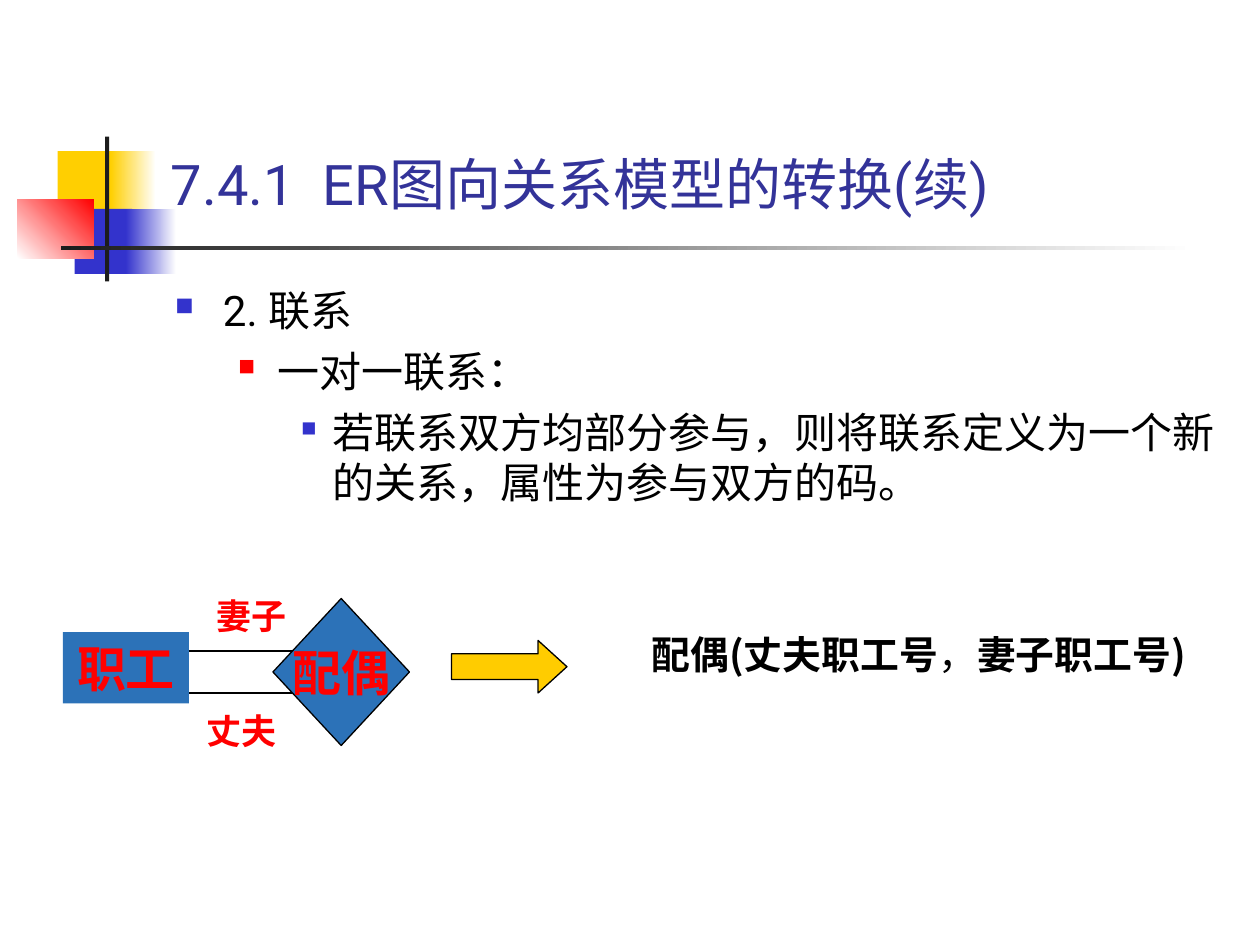
from lxml import etree
from pptx import Presentation
from pptx.dml.color import RGBColor
from pptx.enum.shapes import MSO_CONNECTOR, MSO_SHAPE
from pptx.enum.text import MSO_ANCHOR, PP_ALIGN
from pptx.oxml.ns import qn
from pptx.util import Inches, Pt

RECTANGLE, DIAMOND, ARROW = MSO_SHAPE.RECTANGLE, MSO_SHAPE.DIAMOND, MSO_SHAPE.RIGHT_ARROW
TOP, MIDDLE, BOTTOM = MSO_ANCHOR.TOP, MSO_ANCHOR.MIDDLE, MSO_ANCHOR.BOTTOM
LEFT, CENTER = PP_ALIGN.LEFT, PP_ALIGN.CENTER
COLORS = {name: RGBColor.from_string(value) for name, value in {
    "yellow": "FFCF01", "blue": "3333CC", "red": "FF0000", "white": "FFFFFF",
    "dark": "1C1C1C", "title": "333399", "black": "000000",
    "entity": "2C72B8", "arrow": "FFCC00"}.items()}

deck = Presentation()
deck.slide_width, deck.slide_height = Inches(10), Inches(7.5)
page = deck.slides.add_slide(deck.slide_layouts[6])
UNIT = deck.slide_width / 120  # grid of 120 columns by 90 rows


def grid(*cells):
    return [round(cell * UNIT) for cell in cells]


def write(box, text, size, font, color, bold=False, anchor=TOP, align=CENTER):
    """Put one styled paragraph in a box and return it."""
    frame = box.text_frame
    frame.word_wrap = True
    frame.vertical_anchor = anchor
    para = frame.paragraphs[0]
    para.text = text
    para.alignment = align
    para.font.size, para.font.name, para.font.bold = Pt(size), font, bold
    para.font.color.rgb = COLORS[color]
    return para


# Corner ornament: one colour is solid, two make a gradient at the given angle
for cells, colors, angle in [
    ((5.5, 14.4, 5.8, 6.2), ["yellow"], 0),
    ((10.55, 14.4, 4.3, 6.2), ["yellow", "white"], 0),
    ((7.1, 19.9, 5.5, 6.2), ["blue"], 0),
    ((12, 19.9, 4.8, 6.2), ["blue", "white"], 0),
    ((1.65, 19, 7.3, 5.6), ["white", "red"], 45),
    ((10, 13, 0.4, 13.8), ["dark"], 0),
    ((5.8, 23.4, 108, 0.4), ["dark", "white"], 0),
]:
    block = page.shapes.add_shape(RECTANGLE, *grid(*cells))
    block.shadow.inherit = False
    block.line.fill.background()
    if len(colors) == 1:
        block.fill.solid()
        block.fill.fore_color.rgb = COLORS[colors[0]]
    else:
        block.fill.gradient()
        block.fill.gradient_angle = angle
        for stop, color in zip(block.fill.gradient_stops, colors):
            stop.color.rgb = COLORS[color]

title = page.shapes.add_textbox(*grid(15.1, 9.85, 102.25, 11.4))
write(title, "7.4.1  ER图向关系模型的转换(续)", 32, "Roboto", "title", anchor=BOTTOM, align=LEFT)

# Outline: text, left margin, hanging indent, bullet colour, bullet size in percent
body = page.shapes.add_textbox(*grid(15.5, 26.5, 102, 25))
body.text_frame.word_wrap = True
for level, (text, margin, hang, color, percent) in enumerate([
    ("2. 联系", 0.38, 0.38, "blue", 60),
    ("一对一联系：", 0.81, 0.31, "red", 55),
    ("若联系双方均部分参与，则将联系定义为一个新的关系，属性为参与双方的码。",
     1.25, 0.25, "blue", 50),
]):
    para = body.text_frame.add_paragraph() if level else body.text_frame.paragraphs[0]
    para.text = text
    para.level = level
    properties = para._p.get_or_add_pPr()
    properties.set("marL", str(Inches(margin)))
    properties.set("indent", str(-Inches(hang)))
    bullet_color = etree.SubElement(properties, qn("a:buClr"))
    etree.SubElement(bullet_color, qn("a:srgbClr"), val=str(COLORS[color]))
    etree.SubElement(properties, qn("a:buSzPct"), val=str(percent * 1000))
    etree.SubElement(properties, qn("a:buChar"), char="■")
    if level:
        para.space_before = Pt(6)
    para.font.size, para.font.name = Pt(24), "Roboto"
    para.font.color.rgb = COLORS["black"]

# ER diagram
for row in (62, 66):
    link = page.shapes.add_connector(MSO_CONNECTOR.STRAIGHT, *grid(18, row, 28, row))
    link.line.color.rgb = COLORS["black"]
    link.line.width = Pt(0.75)
    etree.SubElement(link._element.spPr, qn("a:effectLst"))

for kind, cells, fill, outlined, text in [
    (RECTANGLE, (6, 60.2, 12, 6.8), "entity", False, "职工"),
    (DIAMOND, (26, 57, 13, 14), "entity", True, "配偶"),
    (ARROW, (43, 61, 11, 5), "arrow", True, ""),
]:
    node = page.shapes.add_shape(kind, *grid(*cells))
    node.shadow.inherit = False
    node.fill.solid()
    node.fill.fore_color.rgb = COLORS[fill]
    if outlined:
        node.line.color.rgb = COLORS["black"]
        node.line.width = Pt(0.75)
    else:
        node.line.fill.background()
    if text:
        write(node, text, 28, "Times New Roman", "red", bold=True, anchor=MIDDLE)
        node.text_frame.word_wrap = kind != DIAMOND
    else:
        node.adjustments[0], node.adjustments[1] = 0.49, 0.55

for text, column, row in [("丈夫", 17, 67), ("妻子", 18, 56)]:
    role = page.shapes.add_textbox(*grid(column, row, 12, 5.3))
    write(role, text, 20, "Times New Roman", "red", bold=True)

relation = page.shapes.add_textbox(*grid(52, 60, 65, 7))
relation.text_frame.margin_left = Inches(0.6)
para = write(relation, "配偶(丈夫职工号", 22.2, "Noto Sans CJK SC", "black", bold=True)
para.line_spacing = 0.9
for text, bold in [("，", False), ("妻子职工号)", True)]:
    span = para.add_run()
    span.text = text
    span.font.bold = bold

deck.save("out.pptx")
